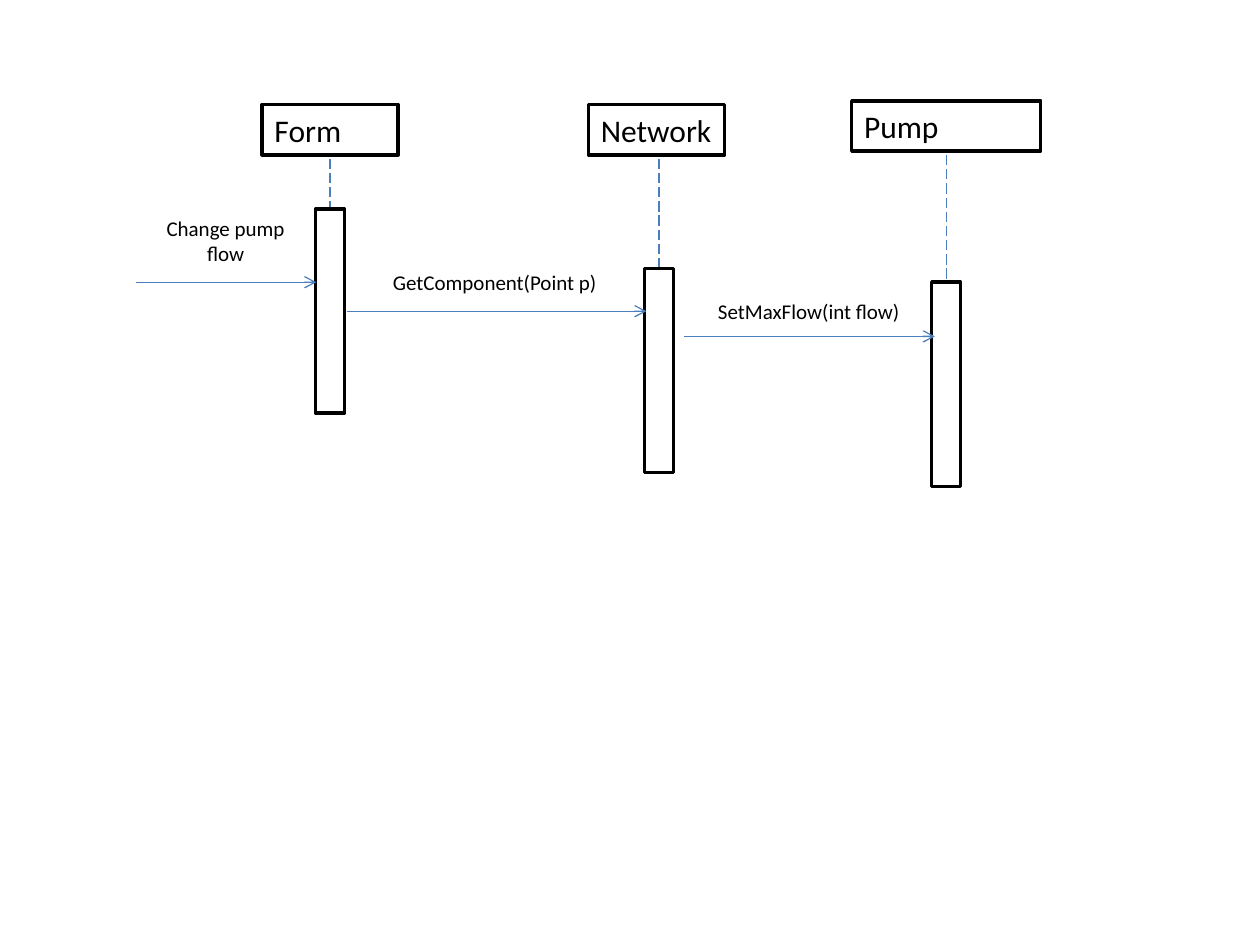
import pptx
import pptx.dml.color
import pptx.enum.dml
import pptx.enum.shapes
import pptx.enum.text
import pptx.oxml.ns
import pptx.util
from lxml import etree

COLORS = {"paper": "FFFFFF", "ink": "000000", "link": "4B7EBC"}
COLUMNS, ROWS = 100, 75
BAR_WIDTH, BAR_HEIGHT = 2.3, 16.2
HEADER_HEIGHT = 4


class SequenceDiagram:
    """Draws on one slide; lengths are columns and rows of the grid."""

    font = "Calibri"

    def __init__(self, presentation):
        self.slide = presentation.slides.add_slide(presentation.slide_layouts[6])
        self.column = presentation.slide_width / COLUMNS
        self.row = presentation.slide_height / ROWS

    def place(self, x, y):
        return round(x * self.column), round(y * self.row)

    def color(self, name):
        return pptx.dml.color.RGBColor.from_string(COLORS[name])

    def box(self, left, top, width, height, outlined=True):
        shape = self.slide.shapes.add_shape(
            pptx.enum.shapes.MSO_SHAPE.RECTANGLE,
            *self.place(left, top), *self.place(width, height))
        shape.shadow.inherit = False
        shape.fill.solid()
        shape.fill.fore_color.rgb = self.color("paper")
        if outlined:
            shape.line.color.rgb = self.color("ink")
            shape.line.width = pptx.util.Pt(2)
        else:
            shape.line.fill.background()
        return shape

    def label(self, shape, text, size, centered=False):
        frame = shape.text_frame
        frame.text = text
        frame.word_wrap = True
        frame.auto_size = pptx.enum.text.MSO_AUTO_SIZE.SHAPE_TO_FIT_TEXT
        frame.vertical_anchor = pptx.enum.text.MSO_ANCHOR.TOP
        if not centered:
            frame.margin_right = pptx.util.Inches(0.05)
        paragraph = frame.paragraphs[0]
        alignment = pptx.enum.text.PP_ALIGN
        paragraph.alignment = alignment.CENTER if centered else alignment.LEFT
        font = paragraph.runs[0].font
        font.name, font.size = self.font, pptx.util.Pt(size)
        font.color.rgb = self.color("ink")

    def line(self, start, end):
        connector = self.slide.shapes.add_connector(
            pptx.enum.shapes.MSO_CONNECTOR.STRAIGHT,
            *self.place(*start), *self.place(*end))
        connector.line.color.rgb = self.color("link")
        connector.line.width = pptx.util.Pt(0.75)
        etree.SubElement(connector._element.spPr, pptx.oxml.ns.qn("a:effectLst"))
        return connector

    def participant(self, name, left, top, width, axis, bar_top):
        header = self.box(left, top, width, HEADER_HEIGHT)
        self.label(header, name, 18)
        lifeline = self.line((axis, top + HEADER_HEIGHT + 0.3), (axis, bar_top))
        lifeline.line.dash_style = pptx.enum.dml.MSO_LINE.LONG_DASH
        self.box(axis - BAR_WIDTH / 2, bar_top, BAR_WIDTH, BAR_HEIGHT)

    def message(self, text, start, end, y, label_box, centered=False):
        self.label(self.box(*label_box, outlined=False), text, 12, centered)
        arrow = self.line((start, y), (end, y))
        outline = arrow._element.spPr.find(pptx.oxml.ns.qn("a:ln"))
        etree.SubElement(outline, pptx.oxml.ns.qn("a:tailEnd"), type="arrow")


def main():
    presentation = pptx.Presentation()
    presentation.slide_width = pptx.util.Inches(10)
    presentation.slide_height = pptx.util.Inches(7.5)
    diagram = SequenceDiagram(presentation)

    # Participants: name, header left, top and width, lifeline axis, bar top
    for participant in (
        ("Form", 20.8, 8.3, 10.8, 26.2, 16.6),
        ("Network", 46.7, 8.3, 10.8, 52.3, 21.3),
        ("Pump", 67.6, 8, 15, 75.1, 22.4),
    ):
        diagram.participant(*participant)

    # Messages: text, arrow start, end and row, label box
    diagram.message("Change pump flow", 10.8, 25.1, 22.4,
                    (11.5, 16.6, 12.8, 5), centered=True)
    diagram.message("GetComponent(Point p)", 27.5, 51.3, 24.7,
                    (30.2, 20.9, 18.5, 3))
    diagram.message("SetMaxFlow(int flow)", 54.3, 74.2, 26.7,
                    (56, 23.2, 16.6, 3))

    presentation.save("out.pptx")


if __name__ == "__main__":
    main()
